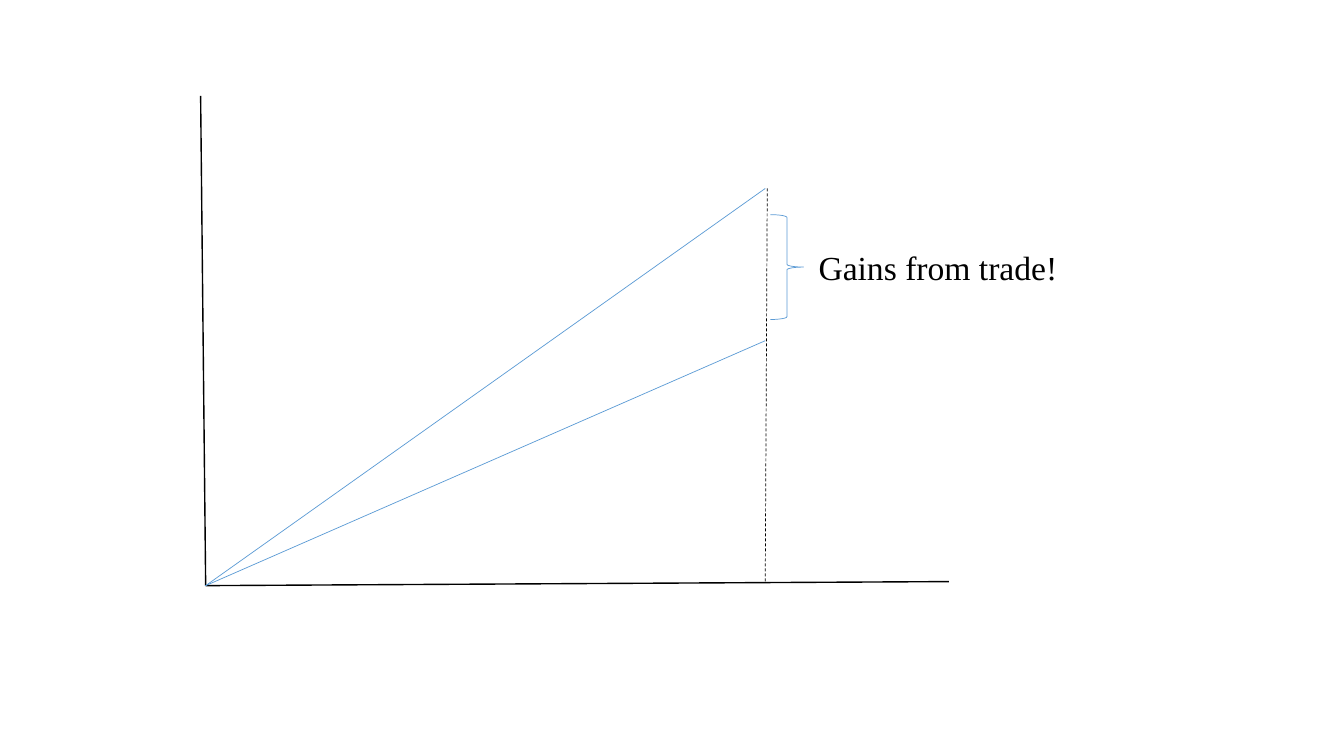
from lxml import etree
from pptx import Presentation
from pptx.dml.color import RGBColor
from pptx.enum.dml import MSO_LINE
from pptx.enum.shapes import MSO_CONNECTOR, MSO_SHAPE
from pptx.enum.text import MSO_AUTO_SIZE, PP_ALIGN
from pptx.oxml.ns import qn
from pptx.util import Inches, Pt

STRAIGHT = MSO_CONNECTOR.STRAIGHT
RIGHT_BRACE = MSO_SHAPE.RIGHT_BRACE
DASH = MSO_LINE.DASH
LEFT = PP_ALIGN.LEFT
FIT_SHAPE = MSO_AUTO_SIZE.SHAPE_TO_FIT_TEXT

COLORS = {"ink": "000000", "blue": "5B9BD5"}
FONT = "Times New Roman"
AXIS_WIDTH, THIN_WIDTH = 1, 0.5

ORIGIN = (2.04, 5.81)
AXIS_ENDS = [(1.99, 0.95), (9.41, 5.77)]
RAY_ENDS = [(2.03, 5.81), (7.59, 1.87), (7.59, 3.38)]


class Diagram:
    def __init__(self, slide):
        self.s = slide

    def stroke(self, line, color, width):
        line.color.rgb = RGBColor.from_string(COLORS[color])
        line.width = Pt(width)

    def line(self, start, end, color, width, dash=None):
        ends = [Inches(v) for v in (*start, *end)]
        sp = self.s.shapes.add_connector(STRAIGHT, *ends)
        self.stroke(sp.line, color, width)
        if dash:
            sp.line.dash_style = dash
        etree.SubElement(sp._element.spPr, qn("a:effectLst"))

    def brace(self, box, color, width):
        sp = self.s.shapes.add_shape(RIGHT_BRACE, *map(Inches, box))
        sp.shadow.inherit = False
        sp.fill.background()
        self.stroke(sp.line, color, width)

    def text(self, box, content, size, color):
        sp = self.s.shapes.add_textbox(*map(Inches, box))
        tf = sp.text_frame
        tf.word_wrap = True
        tf.auto_size = FIT_SHAPE
        p = tf.paragraphs[0]
        p.alignment = LEFT
        r = p.add_run()
        r.text = content
        r.font.name = FONT
        r.font.size = Pt(size)
        r.font.color.rgb = RGBColor.from_string(COLORS[color])


def main():
    prs = Presentation()
    prs.slide_width, prs.slide_height = Inches(13.33), Inches(7.5)
    diagram = Diagram(prs.slides.add_slide(prs.slide_layouts[6]))

    for end in AXIS_ENDS:
        diagram.line(end, ORIGIN, "ink", AXIS_WIDTH)
    for end in RAY_ENDS:
        diagram.line(ORIGIN, end, "blue", THIN_WIDTH)
    diagram.text((8.02, 2.4, 3.04, 0.5), "Gains from trade!", 24, "ink")
    diagram.brace((7.64, 2.13, 0.33, 1.04), "blue", THIN_WIDTH)
    diagram.line((7.61, 1.87), (7.59, 5.77), "ink", THIN_WIDTH, DASH)

    prs.save("out.pptx")


if __name__ == "__main__":
    main()
